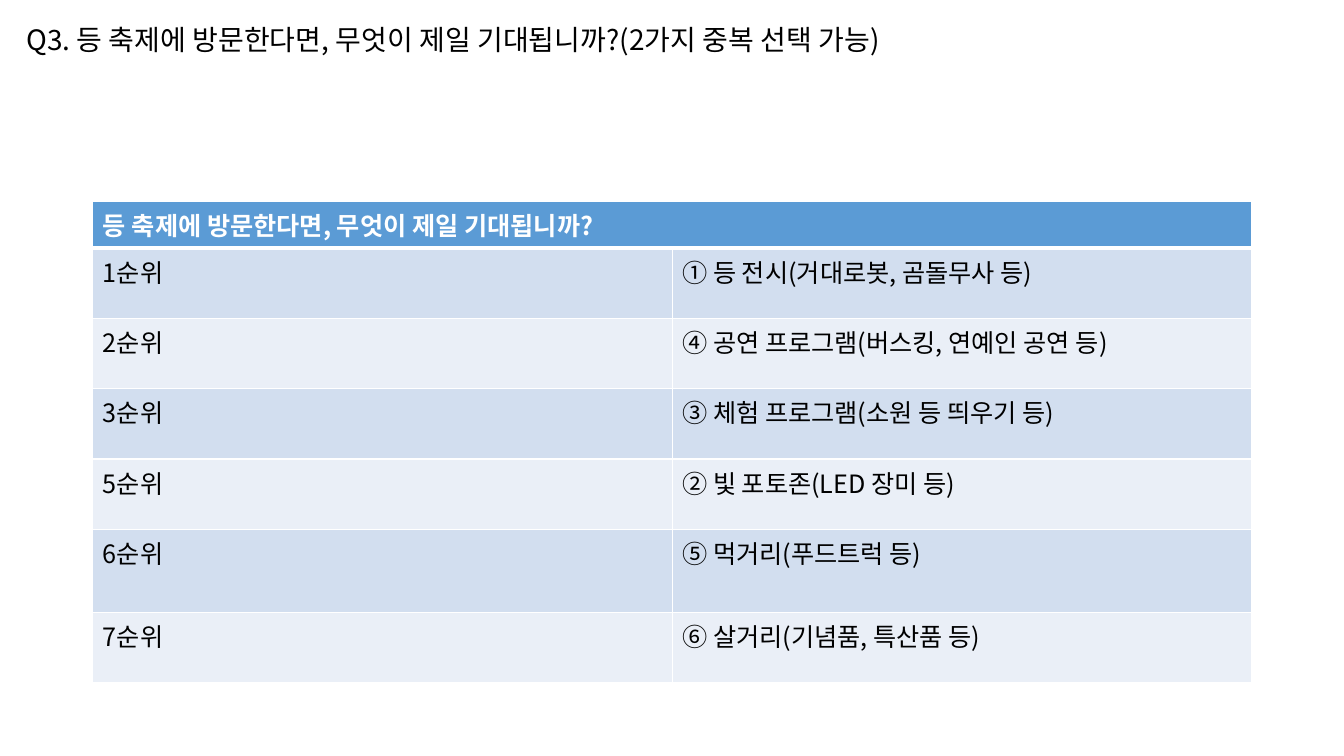
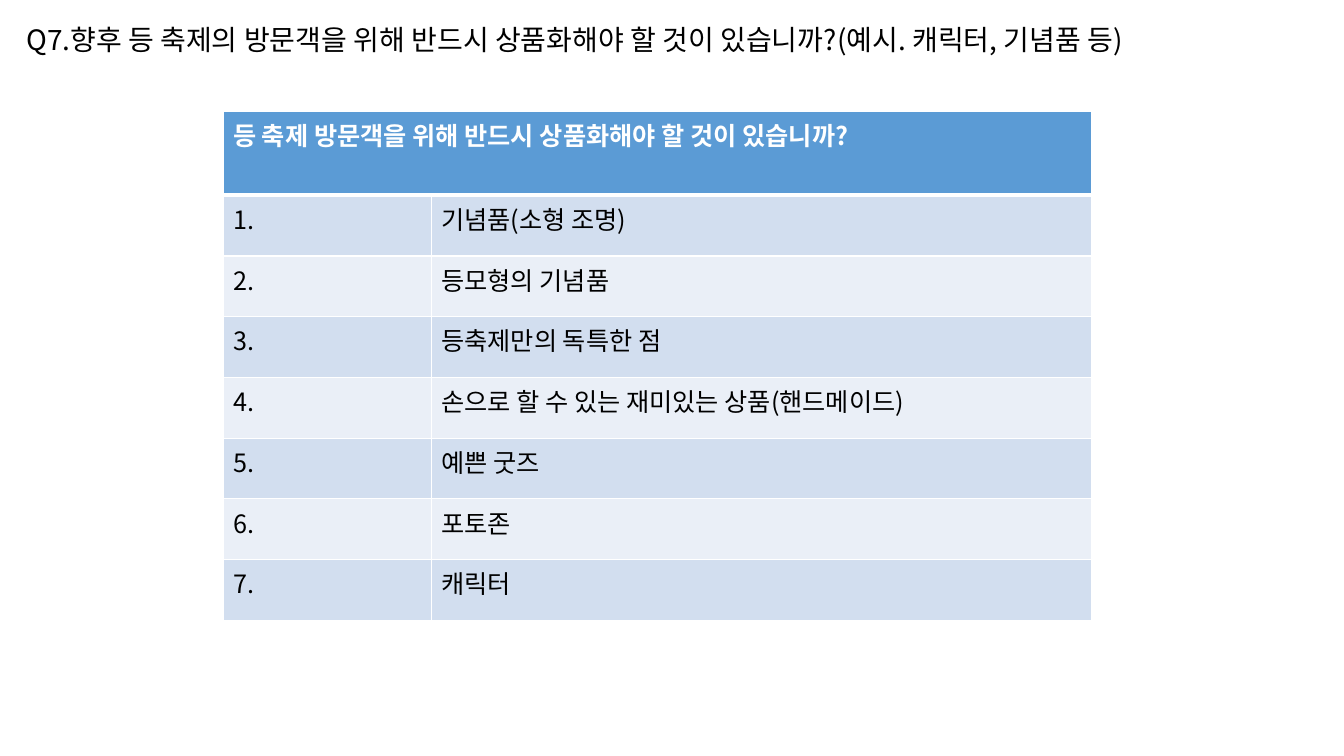
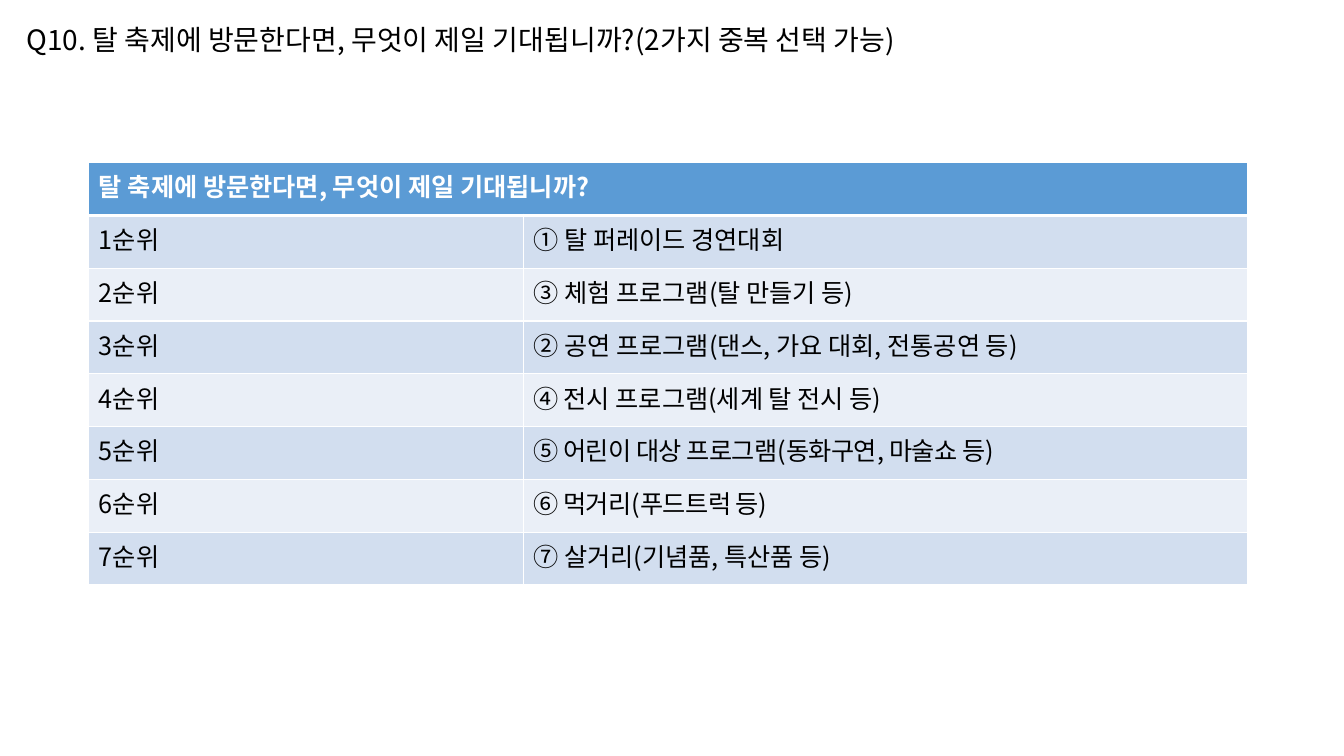
from lxml.etree import SubElement
from pptx import Presentation
from pptx.dml.color import RGBColor
from pptx.enum.text import MSO_ANCHOR, PP_ALIGN
from pptx.oxml import parse_xml
from pptx.oxml.ns import nsdecls, qn
from pptx.util import Cm, Pt

FONT = "Noto Sans CJK KR"
COLORS = {
    "text": "000000",
    "header_text": "FFFFFF",
    "border": "FFFFFF",
    "header": "5B9BD5",
    "band_dark": "D2DEEF",
    "band_light": "EAEFF7",
}
TIGHT = "-40"  # letter spacing in hundredths of a point

# Lengths in cm. In a row's text, the part before "|" is set tight.
SURVEYS = [
    {
        "title": "Q3. 등 축제에 방문한다면, 무엇이 제일 기대됩니까?(2가지 중복 선택 가능)",
        "header": "등 축제에 방문한다면, 무엇이 제일 기대됩니까?",
        "left": 2.34, "top": 5.08, "columns": [14.6, 14.6],
        "heights": [1.17, 1.77, 1.77, 1.77, 1.77, 2.1, 1.77],
        "rows": [
            ("1순위", "① 등 전시(거대로봇, 곰돌무사 등)"),
            ("2순위", "④ 공연 프로그램(버스킹, 연예인 공연 등)"),
            ("3순위", "③ 체험 프로그램(소원 등 띄우기 등)"),
            ("5순위", "② 빛 포토존(LED 장미 등)"),
            ("6순위", "⑤ 먹거리(푸드트럭 등)"),
            ("7순위", "⑥ 살거리(기념품, 특산품 등)"),
        ],
    },
    {
        "title": "Q7.향후 등 축제의 방문객을 위해 반드시 상품화해야 할 것이 있습니까?(예시. 캐릭터, 기념품 등)",
        "header": "등 축제 방문객을 위해 반드시 상품화해야 할 것이 있습니까?",
        "left": 5.62, "top": 2.8, "columns": [5.25, 16.63],
        "heights": [2.12] + [1.53] * 7,
        "rows": [
            ("1.", "기념품(소형 조명)"),
            ("2.", "등모형의 기념품"),
            ("3.", "등축제만의 독특한 점"),
            ("4.", "손으로 할 수 있는 재미있는 상품(핸드메이드)"),
            ("5.", "예쁜 굿즈"),
            ("6.", "포토존"),
            ("7.", "캐릭터"),
        ],
    },
    {
        "title": "Q10. 탈 축제에 방문한다면, 무엇이 제일 기대됩니까?(2가지 중복 선택 가능)",
        "header": "탈 축제에 방문한다면, 무엇이 제일 기대됩니까?",
        "left": 2.24, "top": 4.1, "columns": [10.95, 18.26],
        "heights": [1.33] * 8,
        "rows": [
            ("1순위", "① 탈 퍼레이드 경연대회"),
            ("2순위", "③ 체험 프로그램(탈 만들기 등)"),
            ("3순위", "② 공연 프로그램(댄스, 가요 대회, 전통공연 등)"),
            ("4순위", "④ |전시 프로그램(세계 탈 전시 등)"),
            ("5순위", "⑤ 어린이 대상 프로그램(동화구연, 마술쇼 등)|"),
            ("6순위", "⑥ 먹거리(푸드트럭 등)|"),
            ("7순위", "⑦ 살거리(기념품, 특산품 등)"),
        ],
    },
]


def write_text(frame, text, size, color, bold=False):
    """Fill the first paragraph, in one font for Latin and Korean letters."""
    para = frame.paragraphs[0]
    tight, _, plain = text.rpartition("|")
    for part, spacing in ((tight, TIGHT), (plain, None)):
        if part:
            span = para.add_run()
            span.text = part
            if spacing:
                span._r.get_or_add_rPr().set("spc", spacing)
    para.alignment = PP_ALIGN.LEFT
    para.font.size = Pt(size)
    para.font.bold = bold
    para.font.color.rgb = RGBColor.from_string(COLORS[color])
    para.font.name = FONT
    properties = para._p.pPr.find(qn("a:defRPr"))
    SubElement(properties, qn("a:ea")).set("typeface", FONT)


def style_cell(cell, fill, top=1, bottom=1):
    """Set the fill and the borders; top and bottom are widths in points."""
    widths = {"lnL": 1, "lnR": 1, "lnT": top, "lnB": bottom}
    properties = cell._tc.get_or_add_tcPr()
    for side, width in widths.items():
        properties.append(parse_xml(
            f'<a:{side} {nsdecls("a")} w="{Pt(width)}"><a:solidFill>'
            f'<a:srgbClr val="{COLORS["border"]}"/></a:solidFill></a:{side}>'))
    cell.fill.solid()
    cell.fill.fore_color.rgb = RGBColor.from_string(COLORS[fill])


deck = Presentation()
deck.slide_width, deck.slide_height = Cm(33.87), Cm(19.05)
title_only = deck.slide_layouts[5]

for survey in SURVEYS:
    page = deck.slides.add_slide(title_only)

    title = page.shapes.title
    title.left, title.top, title.width, title.height = Cm(0.41), Cm(0.43), Cm(32), Cm(1.12)
    title.text_frame.vertical_anchor = MSO_ANCHOR.TOP
    write_text(title.text_frame, survey["title"], 20, "text")

    columns, heights = survey["columns"], survey["heights"]
    table = page.shapes.add_table(
        len(heights), len(columns), Cm(survey["left"]), Cm(survey["top"]),
        Cm(sum(columns)), Cm(sum(heights))).table
    for column, width in zip(table.columns, columns):
        column.width = Cm(width)
    for row, height in zip(table.rows, heights):
        row.height = Cm(height)

    header = table.cell(0, 0)
    header.merge(table.cell(0, len(columns) - 1))
    write_text(header.text_frame, survey["header"], 18, "header_text", bold=True)
    for cell in table.rows[0].cells:
        style_cell(cell, "header", bottom=3)

    for number, texts in enumerate(survey["rows"], start=1):
        band = "band_dark" if number % 2 else "band_light"
        for cell, text in zip(table.rows[number].cells, texts):
            write_text(cell.text_frame, text, 18, "text")
            style_cell(cell, band, top=3 if number == 1 else 1)

deck.save("out.pptx")
